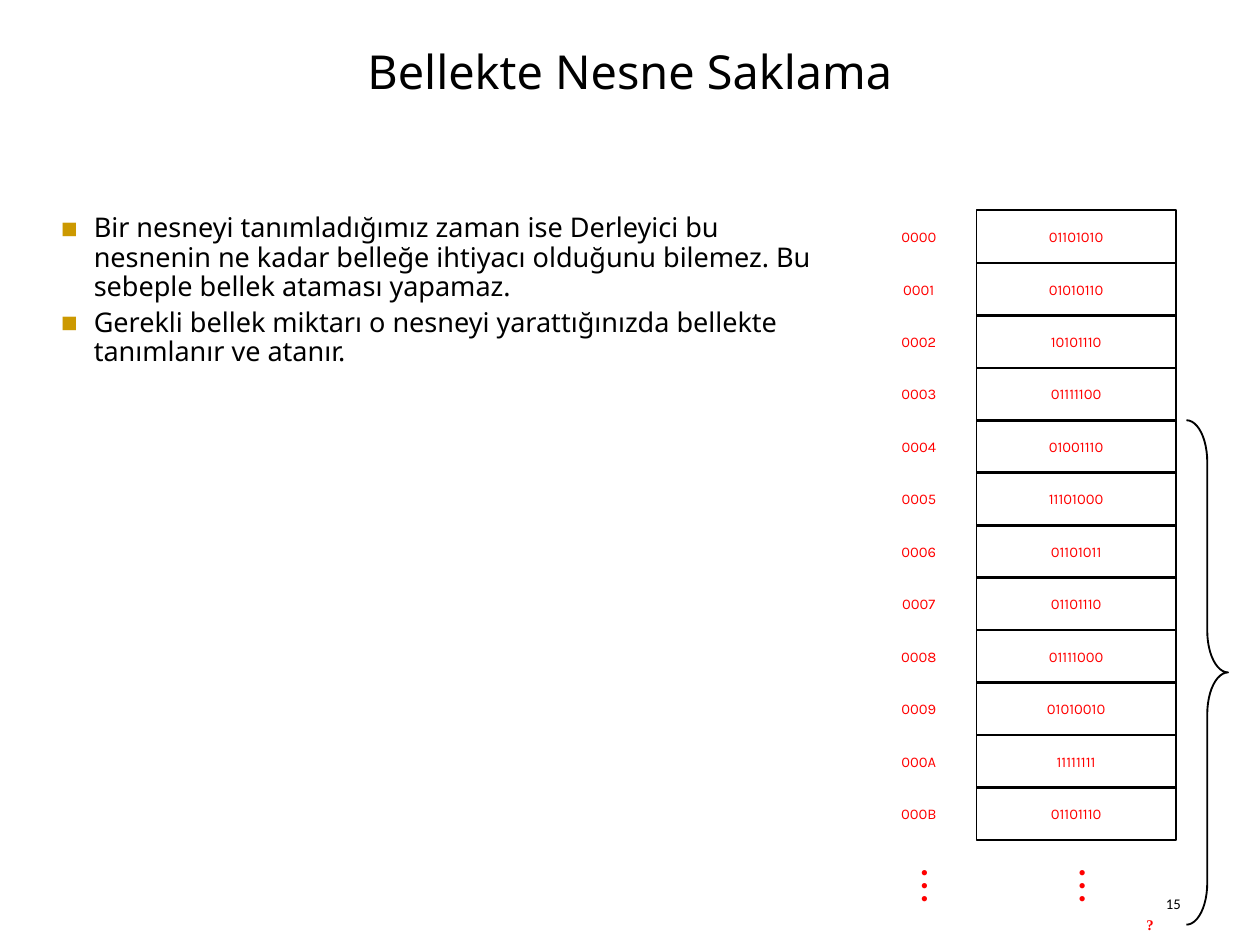
from lxml import etree
from pptx import Presentation
from pptx.dml.color import RGBColor
from pptx.enum.shapes import MSO_SHAPE
from pptx.enum.text import MSO_ANCHOR, PP_ALIGN
from pptx.oxml.ns import qn
from pptx.util import Inches, Pt

CENTER, LEFT = PP_ALIGN.CENTER, PP_ALIGN.LEFT
MIDDLE, TOP = MSO_ANCHOR.MIDDLE, MSO_ANCHOR.TOP
CELL, BRACE = MSO_SHAPE.FLOWCHART_PROCESS, MSO_SHAPE.RIGHT_BRACE
COLORS = {"text": "000000", "bit": "FF0000", "bullet": "CC9900"}
BULLETS = [
    "Bir nesneyi tanımladığımız zaman ise Derleyici bu nesnenin ne kadar belleğe "
    "ihtiyacı olduğunu bilemez. Bu sebeple bellek ataması yapamaz.",
    "Gerekli bellek miktarı o nesneyi yarattığınızda bellekte tanımlanır ve atanır.",
]
MEMORY = ["01101010", "01010110", "10101110", "01111100", "01001110", "11101000",
          "01101011", "01101110", "01111000", "01010010", "11111111", "01101110"]


def write(tf, text, size, font, color="text", align=LEFT, anchor=TOP, wrap=True,
          bold=False, before=0, spacing=1.0):
    """Fill a text frame, one paragraph per item of a list."""
    tf.word_wrap = wrap
    tf.vertical_anchor = anchor
    for i, line in enumerate([text] if isinstance(text, str) else text):
        p = tf.add_paragraph() if i else tf.paragraphs[0]
        p.text = line
        p.alignment = align
        p.space_before = Pt(before)
        p.line_spacing = spacing
        for r in p.runs:
            r.font.size = Pt(size)
            r.font.name = font
            r.font.bold = bold
            r.font.color.rgb = RGBColor.from_string(COLORS[color])


def add_text(s, box, text, size, font, **fmt):
    """Add a text box and return its text frame."""
    tf = s.shapes.add_textbox(*map(Inches, box)).text_frame
    write(tf, text, size, font, **fmt)
    return tf


def add_outline(s, kind, box, line=True):
    """Add an unfilled preset shape with an optional black line."""
    sp = s.shapes.add_shape(kind, *map(Inches, box))
    sp.shadow.inherit = False
    sp.fill.background()
    if line:
        sp.line.color.rgb = RGBColor.from_string(COLORS["text"])
        sp.line.width = Pt(1.5)
    else:
        sp.line.fill.background()
    return sp


def add_bullets(s, box):
    """Add the explanation with square bullets."""
    tf = add_text(s, box, BULLETS, 22, "Noto Sans", before=5.5, spacing=0.9)
    for p in tf.paragraphs:
        pPr = p._p.get_or_add_pPr()
        pPr.set("marL", str(Inches(0.37)))
        pPr.set("indent", str(-Inches(0.37)))
        clr = etree.SubElement(pPr, qn("a:buClr"))
        etree.SubElement(clr, qn("a:srgbClr"), val=COLORS["bullet"])
        etree.SubElement(pPr, qn("a:buSzPct"), val="65000")
        etree.SubElement(pPr, qn("a:buFont"), typeface="Noto Sans")
        etree.SubElement(pPr, qn("a:buChar"), char="■")


def add_memory(s, box):
    """Add the memory map: addresses, cells and trailing dots."""
    x, y, w, h = box
    address_w, cell_h = 1.3, 0.6
    pitch = (h - cell_h) / (len(MEMORY) - 1)
    for i, bits in enumerate(MEMORY):
        top = y + i * pitch
        address = add_outline(s, CELL, (x, top, address_w, cell_h), line=False)
        cell = add_outline(s, CELL, (x + address_w, top, w - address_w, cell_h))
        for sp, text in ((address, f"{i:04X}"), (cell, bits)):
            write(sp.text_frame, text, 12, "Karla", color="bit", align=CENTER,
                  anchor=MIDDLE, wrap=False)
    for dx in (0.48, 2.26):
        add_text(s, (x + dx, y + h + 0.28, 0.47, 0.55), "•\n•\n•", 18,
                 "Times New Roman", color="bit", align=CENTER, anchor=MIDDLE,
                 before=11.2, spacing=0.5)


def add_object_range(s, box):
    """Add the brace over the object's cells and its question mark."""
    x, y, w, h = box
    brace = add_outline(s, BRACE, box)
    brace.adjustments[0] = 1.0
    brace.adjustments[1] = 0.5
    add_text(s, (x - 0.55, y + h - 0.15, 0.28, 0.3), "?", 12, "Times New Roman",
             color="bit", align=CENTER, anchor=MIDDLE, wrap=False, bold=True)


def main():
    """Build and save the slide."""
    prs = Presentation()
    prs.slide_width, prs.slide_height = Inches(14.22), Inches(10.66)
    s = prs.slides.add_slide(prs.slide_layouts[6])
    add_text(s, (0.71, 0.43, 12.8, 1.05), "Bellekte Nesne Saklama", 38, "Noto Sans",
             align=CENTER)
    add_bullets(s, (0.59, 2.37, 8.98, 3.86))
    add_memory(s, (9.72, 2.37, 3.55, 7.11))
    add_object_range(s, (13.39, 4.74, 0.47, 5.69))
    add_text(s, (13.06, 10.04, 0.45, 0.42), "15", 12, "Calibri")
    prs.save("out.pptx")


if __name__ == "__main__":
    main()
